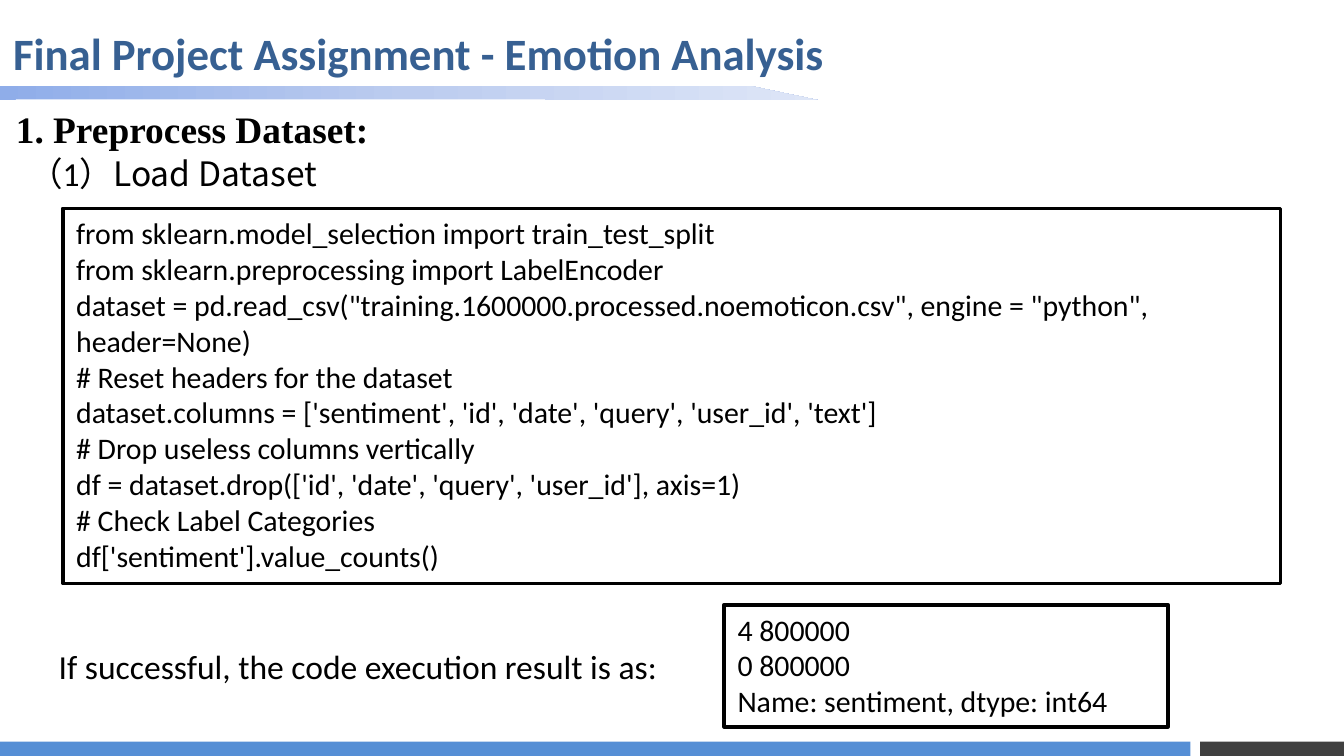
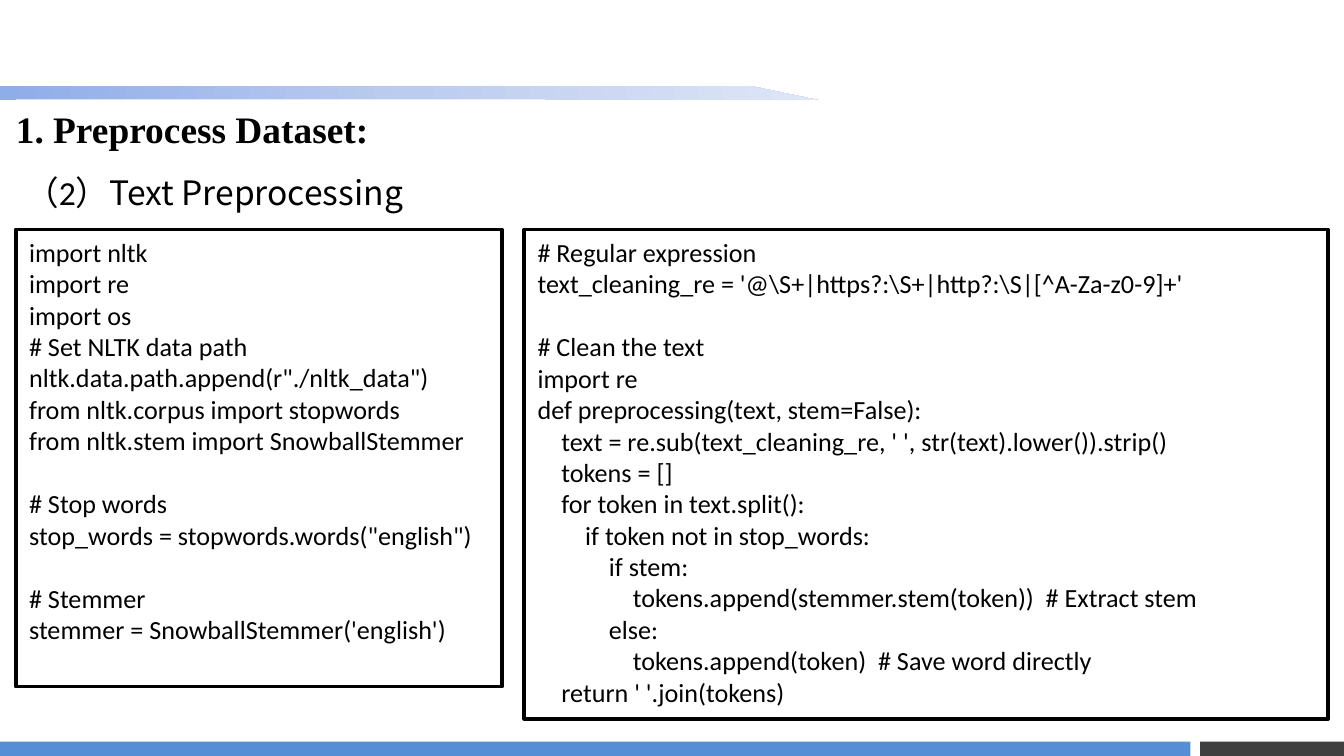
from copy import deepcopy

from pptx import Presentation
from pptx import util as u
from pptx.dml.color import RGBColor
from pptx.enum import shapes, text
from pptx.oxml import ns

COLORS = {
    "title": "376092",
    "ink": "000000",
    "paper": "FFFFFF",
    "footer": "558ED5",
    "corner": "404040",
}
BAND_STOPS = [(0, "8FADE9"), (0.5, "BCCCEF"), (1, "DEE6F7")]
BODY, HEADING, STEP = "Calibri", "Times New Roman", "Noto Sans CJK SC"
INDENT_STEP = u.Cm(0.45)
LINE_HEIGHT = 1.22

LOAD_CODE = """\
from sklearn.model_selection import train_test_split
from sklearn.preprocessing import LabelEncoder
dataset = pd.read_csv("training.1600000.processed.noemoticon.csv", engine = "python", header=None)
# Reset headers for the dataset
dataset.columns = ['sentiment', 'id', 'date', 'query', 'user_id', 'text']
# Drop useless columns vertically
df = dataset.drop(['id', 'date', 'query', 'user_id'], axis=1)
# Check Label Categories
df['sentiment'].value_counts()"""

LOAD_RESULT = """\
4 800000
0 800000
Name: sentiment, dtype: int64"""

SETUP_CODE = """\
import nltk
import re
import os
# Set NLTK data path
nltk.data.path.append(r"./nltk_data")
from nltk.corpus import stopwords
from nltk.stem import SnowballStemmer

# Stop words
stop_words = stopwords.words("english")

# Stemmer
stemmer = SnowballStemmer('english')"""

CLEANING_CODE = r"""# Regular expression
text_cleaning_re = '@\S+|https?:\S+|http?:\S|[^A-Za-z0-9]+'

# Clean the text
import re
def preprocessing(text, stem=False):
    text = re.sub(text_cleaning_re, ' ', str(text).lower()).strip()
    tokens = []
    for token in text.split():
        if token not in stop_words:
            if stem:
                tokens.append(stemmer.stem(token))  # Extract stem
            else:
                tokens.append(token)  # Save word directly
    return ' '.join(tokens)"""


def rgb(name):
    return RGBColor.from_string(COLORS[name])


class Deck:
    def __init__(self):
        self.prs = Presentation()
        self.prs.slide_width = u.Cm(25.4)
        self.prs.slide_height = u.Cm(14.29)
        self.slide = None

    def new_slide(self):
        self.slide = self.prs.slides.add_slide(self.prs.slide_layouts[6])
        self.rect((22.68, 14.02, 2.72, 0.27), "corner")
        self.rect((0, 14.02, 22.5, 0.27), "footer")
        self.band()

    def rect(self, at, fill, outlined=False):
        rect = self.slide.shapes.add_shape(shapes.MSO_SHAPE.RECTANGLE, *map(u.Cm, at))
        rect.shadow.inherit = False
        rect.fill.solid()
        rect.fill.fore_color.rgb = rgb(fill)
        if outlined:
            rect.line.color.rgb = rgb("ink")
            rect.line.width = u.Pt(2)
        else:
            rect.line.fill.background()
        return rect

    def band(self):
        top, bottom = u.Cm(1.63), u.Cm(1.9)
        outline = self.slide.shapes.build_freeform(0, top)
        outline.add_line_segments(
            [(u.Cm(14.2), top), (u.Cm(15.49), bottom), (0, bottom)]
        )
        band = outline.convert_to_shape()
        band.shadow.inherit = False
        band.line.fill.background()
        band.fill.gradient()
        band.fill.gradient_angle = 0
        stop_list = band._element.spPr.find(".//" + ns.qn("a:gsLst"))
        stop_list.append(deepcopy(stop_list[0]))
        for stop, (position, color) in zip(band.fill.gradient_stops, BAND_STOPS):
            stop.position = position
            stop.color.rgb = RGBColor.from_string(color)

    def style(self, run, size, font=BODY, color="ink", bold=False):
        run.font.size = u.Pt(size)
        run.font.name = font
        run.font.bold = bold
        run.font.color.rgb = rgb(color)

    def label(self, at, words, size, wrap=True, **look):
        frame = self.slide.shapes.add_textbox(*map(u.Cm, at)).text_frame
        frame.word_wrap = wrap
        frame.text = words
        self.style(frame.paragraphs[0].runs[0], size, **look)
        return frame.paragraphs[0]

    def title(self, words):
        self.label((0, 0.36, 15.98, 1.27), words, 24, wrap=False, color="title", bold=True)

    def section(self, words):
        frame = self.rect((0.3, 1.88, 10, 0.94), "paper").text_frame
        frame.margin_left = frame.margin_right = 0
        frame.margin_top = frame.margin_bottom = 0
        frame.vertical_anchor = text.MSO_ANCHOR.MIDDLE
        frame.text = words
        heading = frame.paragraphs[0]
        heading.alignment = text.PP_ALIGN.LEFT
        heading.line_spacing = 1.2
        self.style(heading.runs[0], 20, HEADING, bold=True)

    def step(self, left, top, number, words):
        line = self.label((left, top, 13.87, 1.02), f"（{number}）", 18)
        name = line.add_run()
        name.text = words
        self.style(name, 18, STEP)

    def code(self, at, source, size):
        frame = self.rect(at, "paper", outlined=True).text_frame
        frame.word_wrap = True
        frame.vertical_anchor = text.MSO_ANCHOR.TOP
        source_lines = source.split("\n")
        shown = [(i, line) for i, line in enumerate(source_lines) if line]
        frame.text = "\n".join(line.lstrip() for _, line in shown)
        for paragraph, (i, line) in zip(frame.paragraphs, shown):
            paragraph.alignment = text.PP_ALIGN.LEFT
            depth = (len(line) - len(line.lstrip())) // 4
            if depth:
                paragraph._p.get_or_add_pPr().set("marL", str(depth * INDENT_STEP))
            if i and not source_lines[i - 1]:
                paragraph.space_before = u.Pt(round(size * LINE_HEIGHT, 1))
            self.style(paragraph.runs[0], size)


def main():
    deck = Deck()
    section = "1. Preprocess Dataset:"

    deck.new_slide()
    deck.title("Final Project Assignment - Emotion Analysis")
    deck.section(section)
    deck.code((1.19, 3.94, 23.01, 7.09), LOAD_CODE, 16)
    deck.code((13.69, 11.43, 8.38, 2.31), LOAD_RESULT, 16)
    deck.label((0.86, 12.09, 14, 1.02), "If successful, the code execution result is as:", 18)
    deck.step(0.3, 2.77, 1, "Load Dataset")

    deck.new_slide()
    deck.step(0.23, 3.12, 2, "Text Preprocessing")
    deck.code((0.3, 4.34, 9.19, 8.64), SETUP_CODE, 14)
    deck.code((9.91, 4.34, 15.19, 9.25), CLEANING_CODE, 14)
    deck.section(section)

    deck.prs.save("out.pptx")


if __name__ == "__main__":
    main()
